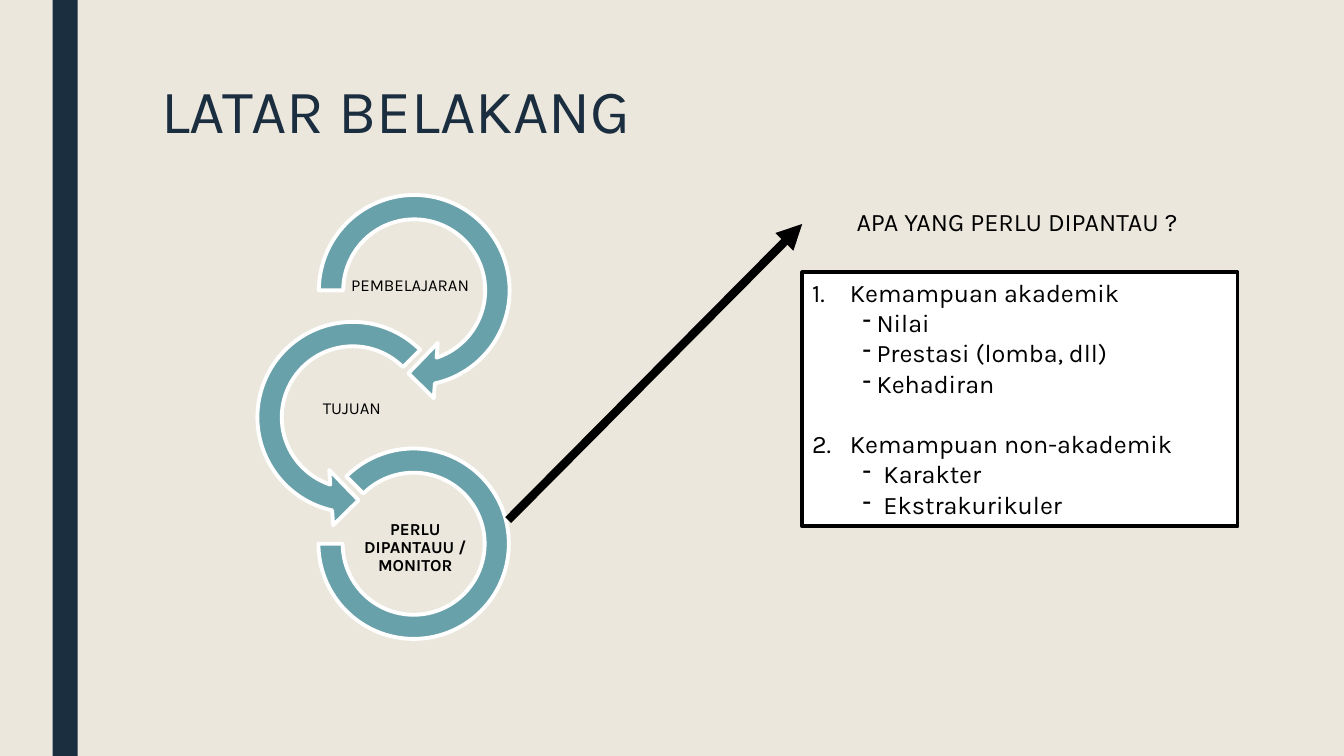
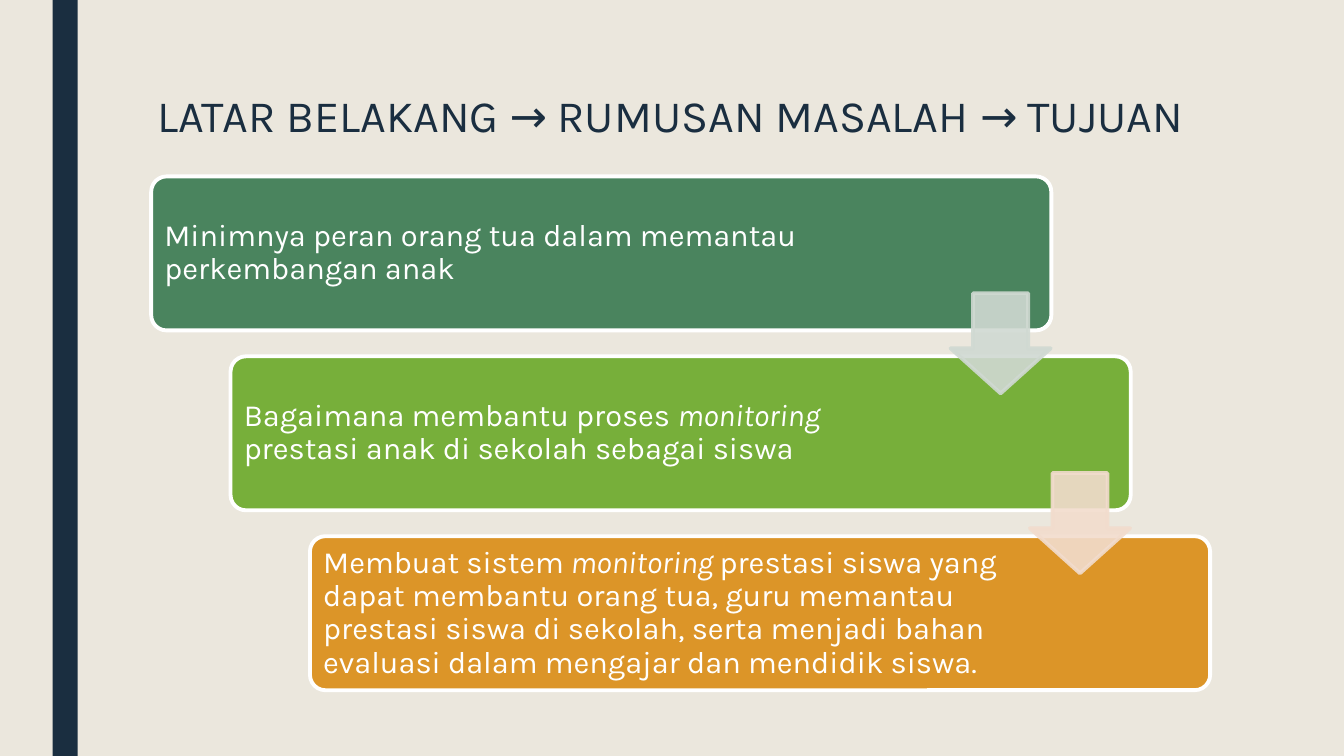
from lxml import etree
from pptx import Presentation
from pptx.dml.color import RGBColor
from pptx.enum import shapes, text
from pptx.oxml import ns
from pptx.util import Pt

FONT = "Karla"
NAVY, CREAM, TEAL, BLACK, WHITE = "1A2E40", "EBE7DD", "69A1AB", "000000", "FFFFFF"
BORDER = 2.75
MS = shapes.MSO_SHAPE
CENTER = text.PP_ALIGN.CENTER
MIDDLE = text.MSO_ANCHOR.MIDDLE

CYCLE = [
    (MS.CIRCULAR_ARROW, (216.7, 128.2, 158.4), (0.11, 11.42, 45, 108, 0.125),
     "PEMBELAJARAN", (249, 182), False),
    (MS.LEFT_CIRCULAR_ARROW, (172.8, 218.9, 158.4), (0.11, 11.42, 63, 189, 0.125),
     "TUJUAN", (207.4, 270), False),
    (MS.BLOCK_ARC, (227.5, 320.4, 136), (135, 108, 0.127),
     "PERLU DIPANTAUU / MONITOR", (252.7, 369.4), True),
]
MONITORED = [
    ("Kemampuan akademik", ["Nilai", "Prestasi (lomba, dll)", "Kehadiran"], 10),
    ("Kemampuan non-akademik", ["Karakter", "Ekstrakurikuler"], 15),
]
STEPS = [
    ("4A845E", [("Minimnya peran orang tua dalam memantau perkembangan anak", False)]),
    ("77AF3A", [("Bagaimana membantu proses ", False), ("monitoring ", True),
                ("prestasi anak di sekolah sebagai siswa", False)]),
    ("DC9528", [("Membuat sistem", False), (" monitoring ", True),
                ("prestasi siswa yang dapat membantu orang tua, guru memantau prestasi "
                 "siswa di sekolah, serta menjadi bahan evaluasi dalam mengajar dan "
                 "mendidik siswa.", False)]),
]
STEP_ARROWS = ["D0D9D2", "F2DCCD"]


def rgb(value):
    return RGBColor.from_string(value)


def add_xml(parent, tag, **attrs):
    return etree.SubElement(parent, ns.qn(tag), attrs)


def set_opacity(fill, percent):
    color = fill._xPr.find(ns.qn("a:solidFill"))[0]
    add_xml(color, "a:alpha", val=str(percent * 1000))


def add_shape(slide, kind, box, color, line=None, adjust=(), opacity=None):
    sp = slide.shapes.add_shape(kind, *map(Pt, box))
    sp.shadow.inherit = False
    for i, value in enumerate(adjust):
        sp.adjustments[i] = value
    sp.fill.solid()
    sp.fill.fore_color.rgb = rgb(color)
    if line:
        sp.line.color.rgb = rgb(line)
        sp.line.width = Pt(BORDER)
    else:
        sp.line.fill.background()
    if opacity:
        set_opacity(sp.fill, opacity)
        if line:
            set_opacity(sp.line.fill, opacity)
    return sp


def set_frame(sp, insets=(7.2, 3.6, 7.2, 3.6), anchor=text.MSO_ANCHOR.TOP):
    tf = sp.text_frame
    tf.word_wrap = True
    tf.margin_left, tf.margin_top, tf.margin_right, tf.margin_bottom = map(Pt, insets)
    tf.vertical_anchor = anchor
    return tf


def write(p, content, size=18, color=BLACK, bold=False, align=text.PP_ALIGN.LEFT,
          spacing=None, before=0):
    p.alignment = align
    p.space_before = Pt(before)
    if spacing:
        p.line_spacing = spacing
    runs = [(content, False)] if isinstance(content, str) else content
    for words, italic in runs:
        r = p.add_run()
        r.text = words
        f = r.font
        f.name, f.size, f.bold, f.italic = FONT, Pt(size), bold, italic
        f.color.rgb = rgb(color)


def add_text(slide, box, content, insets=(7.2, 3.6, 7.2, 3.6),
             anchor=text.MSO_ANCHOR.TOP, **fmt):
    sp = slide.shapes.add_textbox(*map(Pt, box))
    write(set_frame(sp, insets, anchor).paragraphs[0], content, **fmt)
    return sp


def set_bullet(p, left, hang, tag, **attrs):
    pPr = p._p.get_or_add_pPr()
    pPr.set("marL", str(Pt(left)))
    pPr.set("indent", str(-Pt(hang)))
    add_xml(pPr, tag, **attrs)


def add_slide(prs, title, box, size, align=text.PP_ALIGN.LEFT):
    slide = prs.slides.add_slide(prs.slide_layouts[6])
    add_shape(slide, MS.RECTANGLE, (37.5, 0, 18, 540), NAVY)
    add_text(slide, box, title, size=size, color=NAVY, align=align, spacing=0.89)
    return slide


def add_monitored_list(slide):
    sp = add_shape(slide, MS.RECTANGLE, (573, 194.5, 311, 181.5), WHITE, line=BLACK)
    tf = set_frame(sp)
    for number, (heading, items, hang) in enumerate(MONITORED, 1):
        p = tf.paragraphs[0] if number == 1 else tf.add_paragraph()
        write(p, heading, before=0 if number == 1 else 21.6)
        set_bullet(p, 27, 27, "a:buAutoNum", type="arabicPeriod", startAt=str(number))
        for item in items:
            p = tf.add_paragraph()
            write(p, item)
            set_bullet(p, 36 + hang, hang, "a:buChar", char="-")


def add_arrow(slide, start, target):
    line = slide.shapes.add_connector(shapes.MSO_CONNECTOR.STRAIGHT,
                                      *map(Pt, start), Pt(573), Pt(160))
    line.end_connect(target, 1)
    line.line.color.rgb = rgb(BLACK)
    line.line.width = Pt(6)
    add_xml(line.line._get_or_add_ln(), "a:tailEnd", type="triangle")
    add_xml(line._element.spPr, "a:effectLst")


def background_slide(prs):
    slide = add_slide(prs, "LATAR BELAKANG", (108, 54, 756, 64), 44)
    for kind, (x, y, side), adjust, label, spot, bold in CYCLE:
        add_shape(slide, kind, (x, y, side, side), TEAL, line=WHITE, adjust=adjust)
        add_text(slide, (*spot, 88, 44), label, insets=(0.7,) * 4, anchor=MIDDLE,
                 size=12, bold=bold, align=CENTER, spacing=0.9)
    question = add_text(slide, (573, 144, 307, 32), "APA YANG PERLU DIPANTAU ?",
                        align=CENTER)
    add_arrow(slide, (363, 371.5), question)
    add_monitored_list(slide)


def steps_slide(prs):
    slide = add_slide(prs, "LATAR BELAKANG → RUMUSAN MASALAH → TUJUAN",
                      (98, 63.4, 762, 63), 32, CENTER)
    corners = [(108 + 56.7 * i, 126 + 128.5 * i) for i in range(len(STEPS))]
    for (x, y), (color, runs) in zip(corners, STEPS):
        sp = add_shape(slide, MS.ROUNDED_RECTANGLE, (x, y, 643, 110), color,
                       line=WHITE, adjust=(0.1,))
        tf = set_frame(sp, (6.3, 6.3, 136, 6.3), MIDDLE)
        write(tf.paragraphs[0], runs, size=22, color=WHITE, spacing=0.9)
    for (x, y), color in zip(corners, STEP_ARROWS):
        add_shape(slide, MS.DOWN_ARROW, (x + 571, y + 83.5, 71.5, 71.5), color,
                  line=color, adjust=(0.55, 0.45), opacity=90)


def main():
    prs = Presentation()
    prs.slide_width, prs.slide_height = Pt(960), Pt(540)
    fill = prs.slide_master.background.fill
    fill.solid()
    fill.fore_color.rgb = rgb(CREAM)
    background_slide(prs)
    steps_slide(prs)
    prs.save("out.pptx")


if __name__ == "__main__":
    main()
